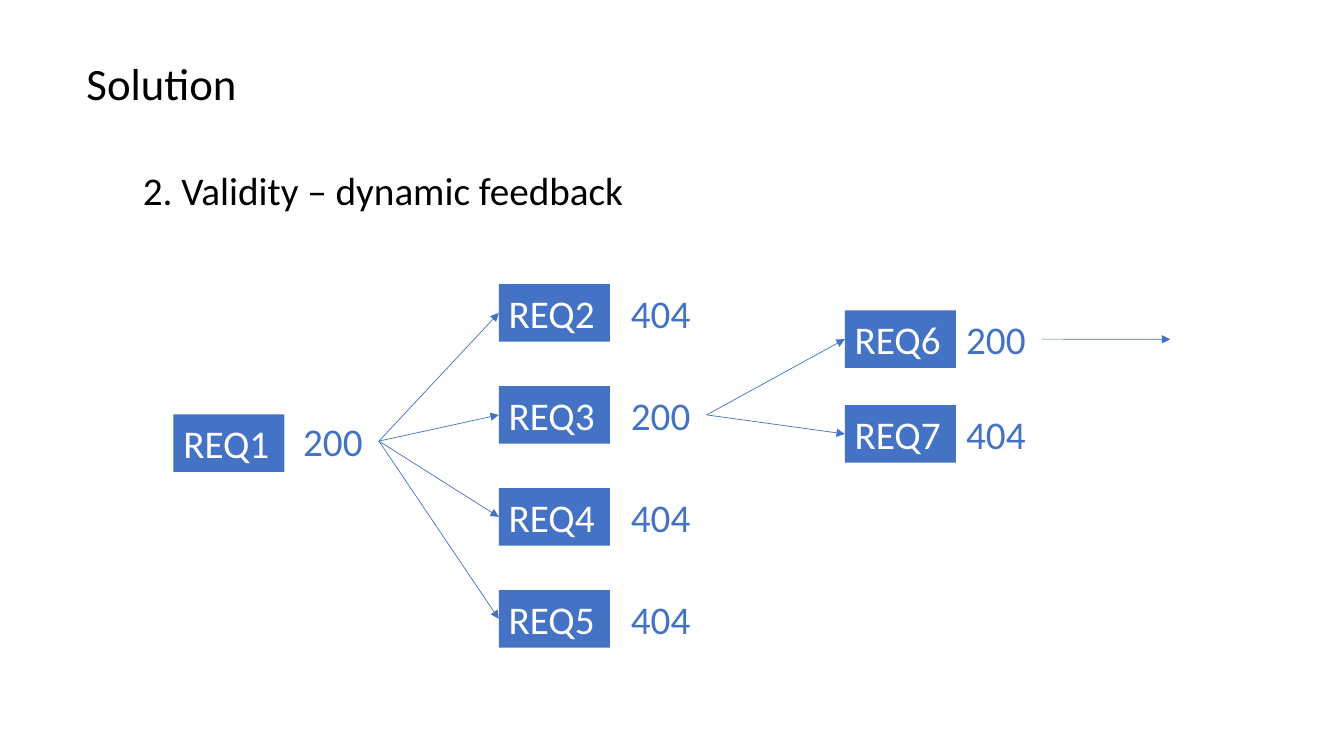
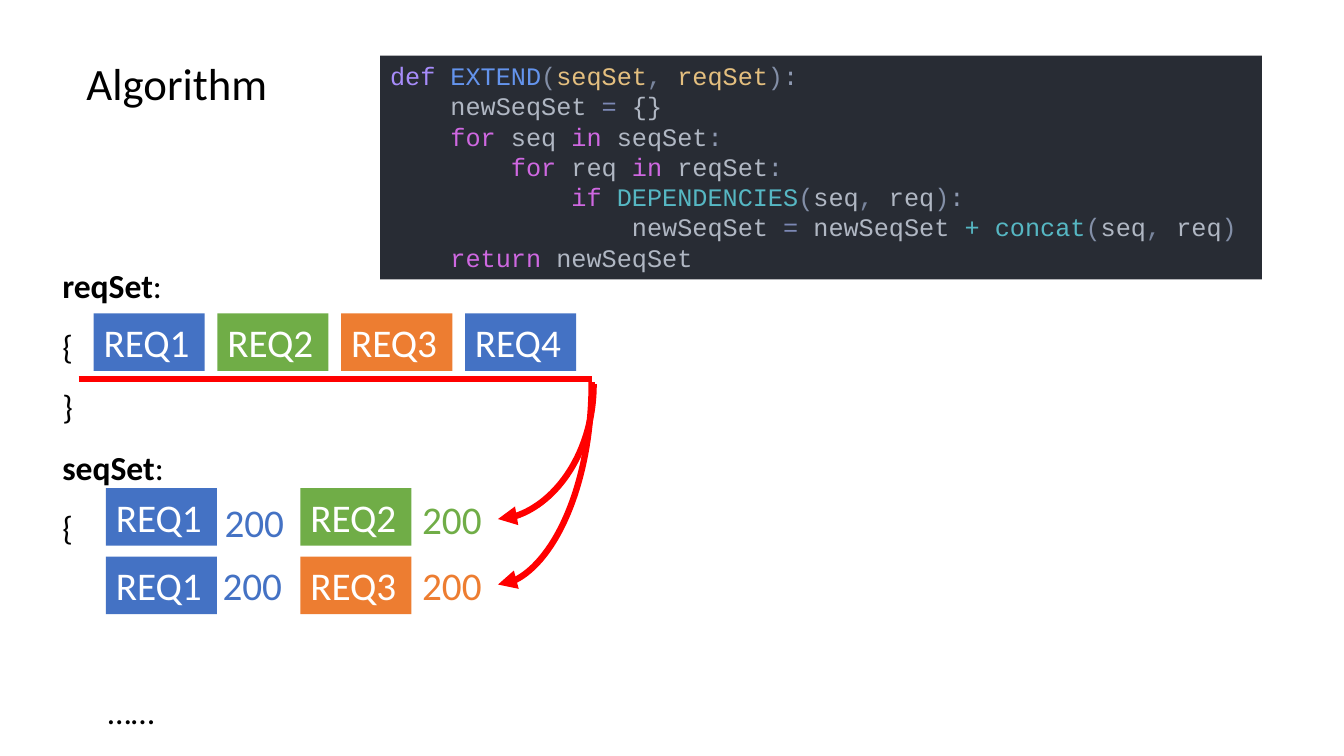
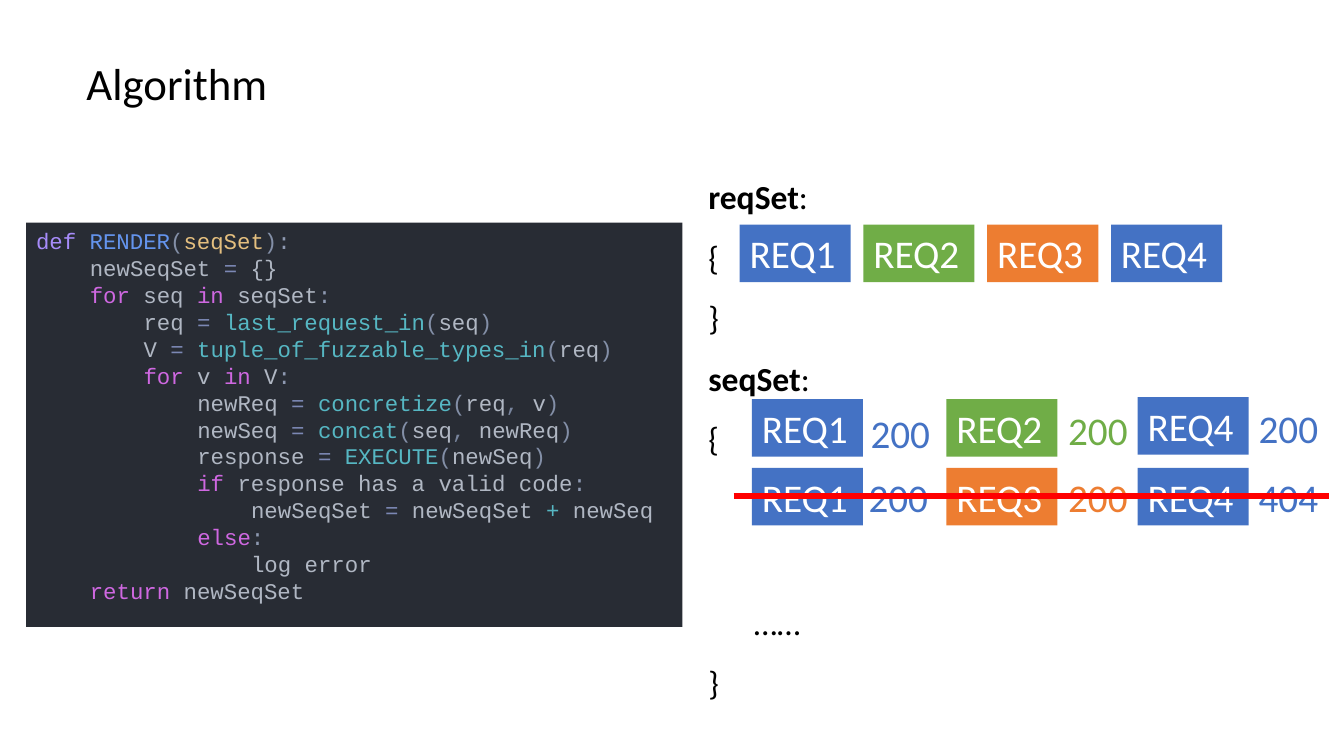
from itertools import groupby

from lxml import etree
from pptx import Presentation
from pptx.dml.color import RGBColor
from pptx.enum.shapes import MSO_CONNECTOR, MSO_SHAPE
from pptx.enum.text import MSO_ANCHOR, PP_ALIGN
from pptx.oxml.ns import qn
from pptx.util import Cm, Pt

RECT = MSO_SHAPE.RECTANGLE
STRAIGHT, CURVE = MSO_CONNECTOR.STRAIGHT, MSO_CONNECTOR.CURVE
TOP, LEFT = MSO_ANCHOR.TOP, PP_ALIGN.LEFT

COLORS = {
    "black": "000000", "white": "FFFFFF", "red": "FF0000",
    "blue": "4472C4", "green": "70AD47", "orange": "ED7D31",
    "panel": "282C34", "plain": "B0B7C3", "def": "A78CFA",
    "name": "6494ED", "param": "E4BF7F", "key": "CF68E1",
    "call": "56B7C3", "paren": "838FA7", "comma": "79859D",
    "colon": "8E99B1", "equal": "7C88B4",
}
TAG_W, TAG_H, CODE_W = 2.8, 1.45, 2.16

# Syntax colour of each code token; all others are plain.
SYNTAX = {"def": "def", "(": "paren", ")": "paren", ",": "comma",
          ":": "colon", "=": "equal", "+": "call"}
for ink, words in {
    "name": "EXTEND RENDER",
    "key": "for in if else return",
    "call": "DEPENDENCIES concat last_request_in tuple_of_fuzzable_types_in "
            "concretize EXECUTE",
}.items():
    SYNTAX.update((word, ink) for word in words.split())

EXTEND = """\
def EXTEND(seqSet, reqSet):
    newSeqSet = {}
    for seq in seqSet:
        for req in reqSet:
            if DEPENDENCIES(seq, req):
                newSeqSet = newSeqSet + concat(seq, req)
    return newSeqSet"""

RENDER = """\
def RENDER(seqSet):
    newSeqSet = {}
    for seq in seqSet:
        req = last_request_in(seq)
        V = tuple_of_fuzzable_types_in(req)
        for v in V:
            newReq = concretize(req, v)
            newSeq = concat(seq, newReq)
            response = EXECUTE(newSeq)
            if response has a valid code:
                newSeqSet = newSeqSet + newSeq
            else:
                log error
    return newSeqSet"""


def label(slide, x, y, w, h, rows, size=28, font="Calibri", fill=None):
    """Add a text box, or a filled box; rows hold lists of (text, ink)."""
    at = Cm(x), Cm(y), Cm(w), Cm(h)
    if fill:
        box = slide.shapes.add_shape(RECT, *at)
        box.shadow.inherit = False
        box.fill.solid()
        box.fill.fore_color.rgb = RGBColor.from_string(COLORS[fill])
        box.line.fill.background()
    else:
        box = slide.shapes.add_textbox(*at)
    frame = box.text_frame
    frame.word_wrap = True
    frame.vertical_anchor = TOP
    for i, row in enumerate(rows):
        para = frame.add_paragraph() if i else frame.paragraphs[0]
        para.alignment = LEFT
        for text, ink in row:
            run = para.add_run()
            run.text = text
            run.font.size = Pt(size)
            run.font.name = font
            run.font.color.rgb = RGBColor.from_string(COLORS[ink])
    return box


def link(slide, start, end, ink, width, arrow=False, kind=STRAIGHT):
    line = slide.shapes.add_connector(kind, *map(Cm, start + end))
    line.line.color.rgb = RGBColor.from_string(COLORS[ink])
    line.line.width = Pt(width)
    props = line.element.spPr
    if arrow:
        tail = etree.SubElement(props.find(qn("a:ln")), qn("a:tailEnd"))
        tail.set("type", "triangle")
    etree.SubElement(props, qn("a:effectLst"))
    return line


deck = Presentation()
deck.slide_width, deck.slide_height = Cm(33.87), Cm(19.05)
slides = []
for title in ("Solution", "Algorithm", "Algorithm"):
    slide = deck.slides.add_slide(deck.slide_layouts[6])
    label(slide, 1.93, 1.27, 13.46, 1.62, [[(title, "black")]], 32)
    slides.append(slide)
tree, extend, render = slides

# Slide 1: tree of requests with their status codes
head = label(tree, 3.35, 3.48, 14.15, 1.85,
             [[("2. Validity – dynamic feedback", "black")]])
head.text_frame.paragraphs[0].line_spacing = 1.5

nodes = [("REQ1", 4.37, 10.44, "200", 7.39, 10.39)]
for i, code in enumerate(("404", "200", "404", "404")):
    y = 7.16 + 2.57 * i
    nodes.append((f"REQ{i + 2}", 12.57, y, code, 15.65, y))
for i, code in enumerate(("200", "404")):
    y = 7.82 + 2.39 * i
    nodes.append((f"REQ{i + 6}", 21.29, y, code, 24.1, y))

tags, codes = {}, {}
for name, x, y, code, code_x, code_y in nodes:
    tags[name] = label(tree, x, y, TAG_W, TAG_H, [[(name, "white")]],
                       fill="blue")
    codes[name] = label(tree, code_x, code_y, CODE_W, TAG_H,
                        [[(code, "blue")]])

for source, targets in (("REQ1", ("REQ2", "REQ3", "REQ4", "REQ5")),
                        ("REQ3", ("REQ6", "REQ7"))):
    for target in targets:
        arrow = link(tree, (0, 0), (0, 0), "blue", 0.5, True)
        arrow.begin_connect(codes[source], 3)
        arrow.end_connect(tags[target], 1)
arrow = link(tree, (26.26, 8.55), (29.49, 8.55), "blue", 0.5, True)
arrow.begin_connect(codes["REQ6"], 3)

# Slides 2 and 3: code panel beside the request and sequence sets
HUES = {"REQ1": "blue", "REQ2": "green", "REQ3": "orange", "REQ4": "blue"}
SETS = ["reqSet:", "{", "}", "seqSet:", "{", "……", "}"]
# Request, tag x and y, status code, its x and y, all from the set's corner
PAIRS = [
    ("REQ1", 1.35, 6.25, "200", 4.09, 6.38),
    ("REQ1", 1.35, 7.98, "200", 4.04, 7.98),
    ("REQ2", 6.25, 6.25, "200", 9.07, 6.3),
    ("REQ3", 6.25, 7.98, "200", 9.07, 7.98),
]
THIRD = [
    ("REQ4", 11.07, 6.2, "200", 13.87, 6.25),
    ("REQ4", 11.07, 7.98, "404", 13.87, 7.98),
]
for slide, source, panel, size, left, top, sets, pairs in (
    (extend, EXTEND, (9.58, 1.4, 22.22, 5.64), 18, 1.32, 6.05,
     SETS[:-1], PAIRS),
    (render, RENDER, (0.66, 5.61, 16.54, 10.19), 16, 17.6, 3.81,
     SETS, PAIRS + THIRD),
):
    rows, depths = [], []
    for text in source.splitlines():
        bare = text.lstrip()
        depths.append(len(text) - len(bare))
        row = []
        for _, chars in groupby(
                bare, lambda c: "word" if c.isalnum() or c == "_" else c):
            token = "".join(chars)
            ink = SYNTAX.get(token, "plain")
            if bare.startswith("def") and token in ("seqSet", "reqSet"):
                ink = "param"
            row.append((token, ink))
        rows.append(row)
    box = label(slide, *panel, rows, size, "Courier New", "panel")
    for para, depth in zip(box.text_frame.paragraphs, depths):
        # A Courier New letter is 0.6 of its size wide
        props = para._p.get_or_add_pPr()
        props.set("marL", str(Pt(depth * size * 0.6)))

    rows = [[(text[:-1], "black"), (":", "black")] if text.endswith(":")
            else [(text, "black")] for text in sets]
    box = label(slide, left, top, 15.88, 12.42, rows, 24)
    for para in box.text_frame.paragraphs:
        para.line_spacing = 1.5
        if len(para.runs) == 2:
            para.runs[0].font.bold = True
        if para.text == "……":
            para.space_before = Pt(88)
            para._p.get_or_add_pPr().set("marL", str(Cm(1.15)))

    for i, (name, hue) in enumerate(HUES.items()):
        label(slide, left + 1.04 + 3.12 * i, top + 1.85, TAG_W, TAG_H,
              [[(name, "white")]], fill=hue)
    for name, x, y, code, code_x, code_y in pairs:
        label(slide, left + x, top + y, TAG_W, TAG_H, [[(name, "white")]],
              fill=HUES[name])
        label(slide, left + code_x, top + code_y, CODE_W, TAG_H,
              [[(code, HUES[name])]])

link(extend, (1.98, 9.55), (14.91, 9.55), "red", 4.5)
for (x1, y1), (x2, y2) in (((14.96, 9.68), (12.55, 13.08)),
                           ((14.91, 9.63), (12.55, 14.73))):
    # A quarter bend turned by 90 degrees: its frame is wide as the drop
    mid_x, mid_y = (x1 + x2) / 2, (y1 + y2) / 2
    half_w, half_h = (y2 - y1) / 2, (x1 - x2) / 2
    bend = link(extend, (mid_x - half_w, mid_y - half_h),
                (mid_x + half_w, mid_y + half_h), "red", 4.5, True, CURVE)
    props = bend.element.spPr
    props.find(qn("a:xfrm")).set("rot", "5400000")
    props.find(qn("a:prstGeom")).set("prst", "curvedConnector2")
link(render, (18.49, 12.5), (33.5, 12.5), "red", 4.5)

deck.save("out.pptx")
